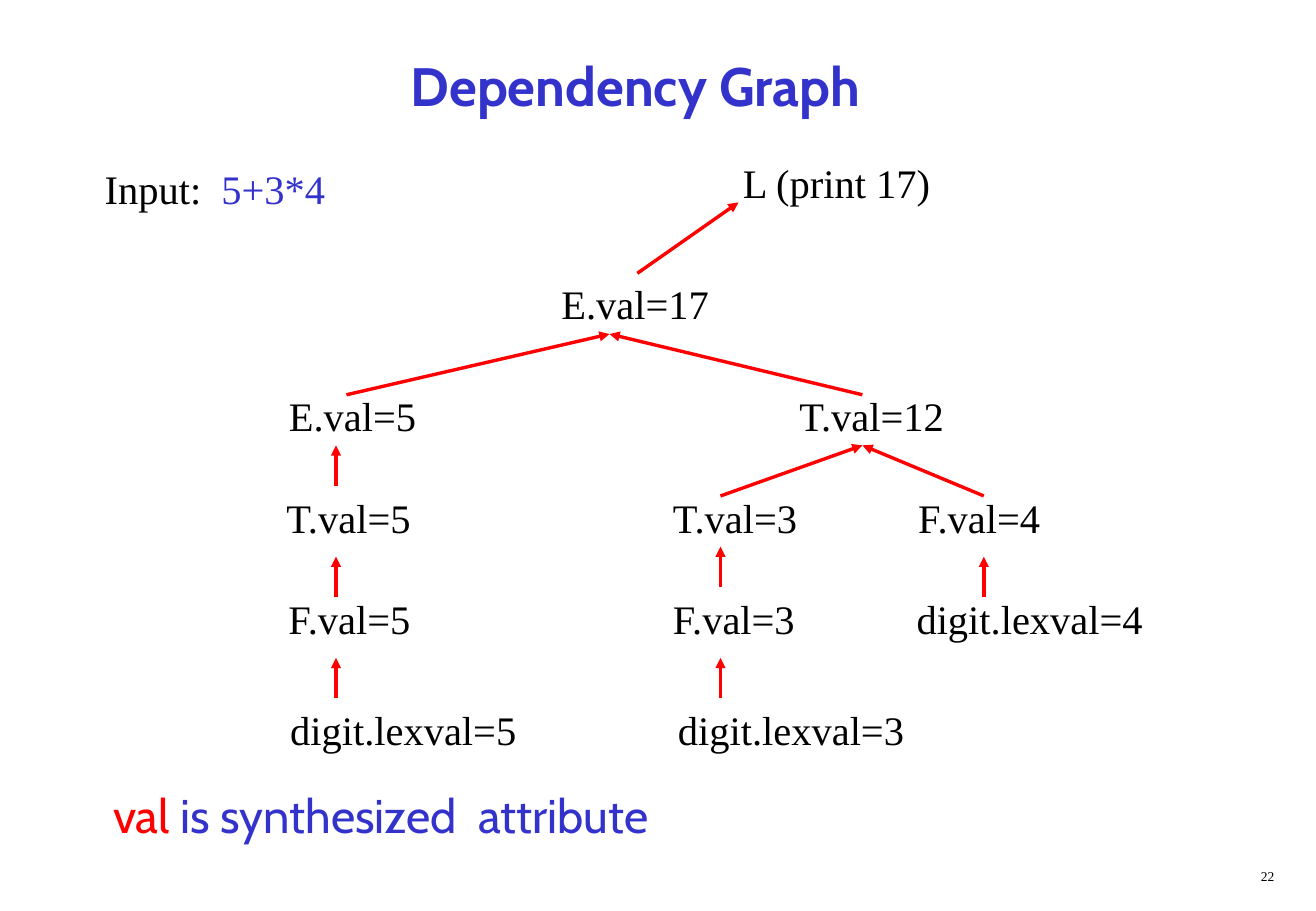
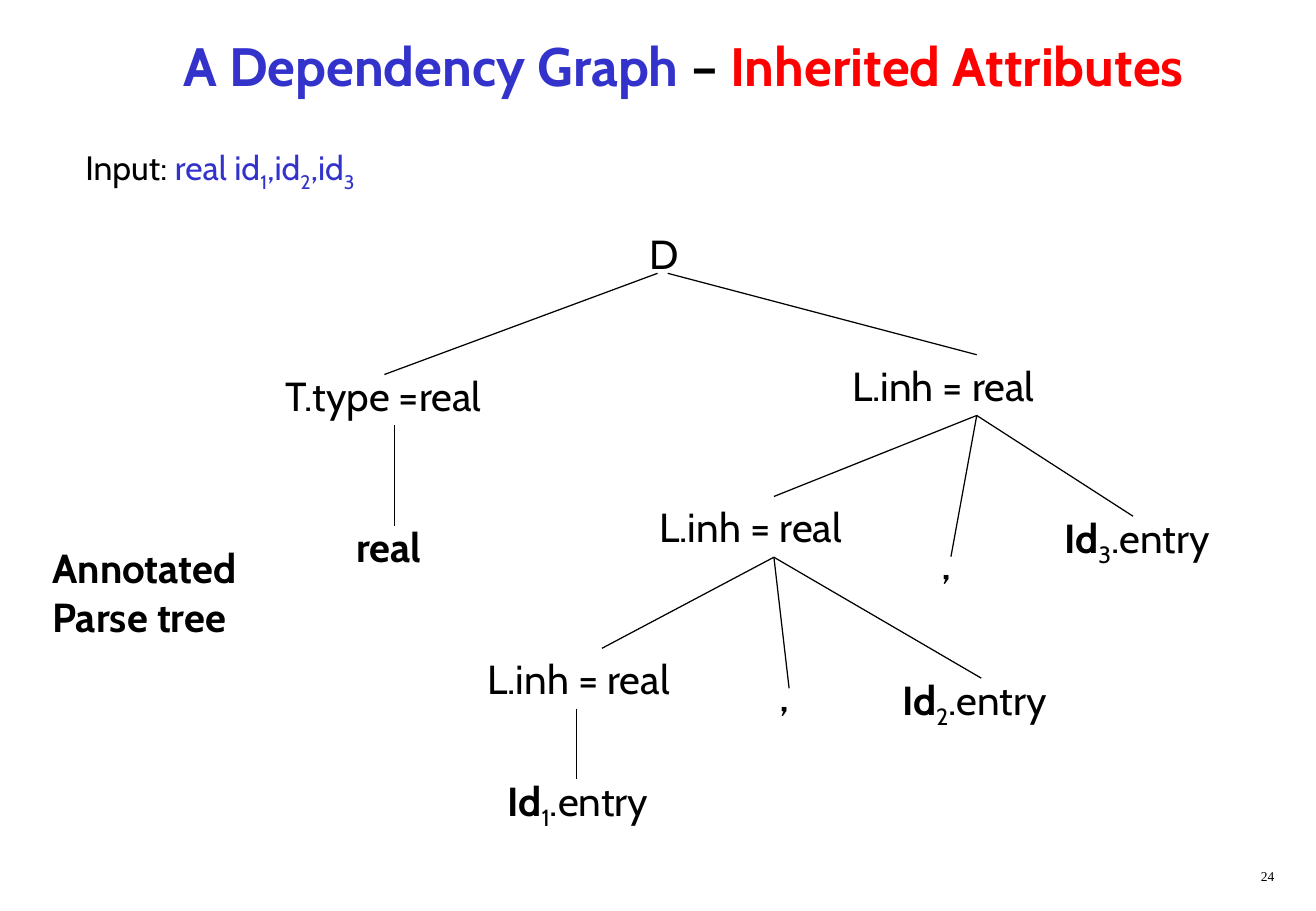
from lxml import etree
from pptx import Presentation
from pptx.dml.color import RGBColor
from pptx.enum.shapes import MSO_CONNECTOR
from pptx.enum.text import MSO_ANCHOR, MSO_AUTO_SIZE, PP_ALIGN
from pptx.oxml.ns import qn
from pptx.util import Pt

STRAIGHT = MSO_CONNECTOR.STRAIGHT
MIDDLE = MSO_ANCHOR.MIDDLE
NO_AUTOFIT = MSO_AUTO_SIZE.NONE
CENTER, RIGHT = PP_ALIGN.CENTER, PP_ALIGN.RIGHT

BLUE = RGBColor(0x33, 0x33, 0xCC)
RED = RGBColor(0xFF, 0x00, 0x00)
BLACK = RGBColor(0x00, 0x00, 0x00)
SANS = "Cabin"
SERIF = "Times New Roman"
TOP, BOTTOM = 0, 2
LABEL_HEIGHT = 36


def write(shape, runs, size, font, tab=None):
    """Fill a shape with (text, colour, style) runs; style is "", "bold" or "sub"."""
    frame = shape.text_frame
    frame.word_wrap = True
    frame.auto_size = NO_AUTOFIT
    paragraph = frame.paragraphs[0]
    if tab:
        tab_list = etree.SubElement(paragraph._p.get_or_add_pPr(), qn("a:tabLst"))
        etree.SubElement(tab_list, qn("a:tab"), pos=str(Pt(tab)), algn="l")
    for text, color, style in runs:
        run = paragraph.add_run()
        run.text = text
        run.font.size = Pt(size)
        run.font.name = font
        run.font.bold = style == "bold"
        run.font.color.rgb = color
        if style == "sub":
            run._r.get_or_add_rPr().set("baseline", "-25000")
    return paragraph


def add_line(slide, start, end, color, width, arrow=False):
    """Draw a line; each end is a point (x, y) or a label's (shape, side)."""
    points = [(0, 0) if hasattr(place[0], "text_frame") else place for place in (start, end)]
    line = slide.shapes.add_connector(STRAIGHT, *[Pt(value) for point in points for value in point])
    for place, connect in ((start, line.begin_connect), (end, line.end_connect)):
        if hasattr(place[0], "text_frame"):
            connect(*place)
    line.line.color.rgb = color
    line.line.width = Pt(width)
    if arrow:
        etree.SubElement(line.line._get_or_add_ln(), qn("a:tailEnd"), type="triangle")
    etree.SubElement(line._element.spPr, qn("a:effectLst"))


presentation = Presentation()
presentation.slide_width = Pt(780.48)
presentation.slide_height = Pt(540)

# Titles and slide numbers
slides = []
for number, width, height, title_runs in (
    ("22", 663, 64, [("Dependency Graph", BLUE, "bold")]),
    ("24", 720, 40, [("A Dependency Graph", BLUE, "bold"), (" – ", BLACK, "bold"),
                     ("Inherited Attributes", RED, "bold")]),
):
    slide = presentation.slides.add_slide(presentation.slide_layouts[5])
    title = slide.shapes.title
    title.left, title.top, title.width, title.height = Pt(45.5), Pt(18.5), Pt(width), Pt(height)
    title.text_frame.vertical_anchor = MIDDLE
    write(title, title_runs, 32, SANS).alignment = CENTER
    number_box = slide.shapes.add_textbox(Pt(600), Pt(511), Pt(163), Pt(18))
    write(number_box, [(number, BLACK, "")], 8, SERIF).alignment = RIGHT
    slides.append(slide)
synthesized, inherited = slides

# Synthesized attributes
input_box = synthesized.shapes.add_textbox(Pt(55), Pt(93.6), Pt(160), Pt(LABEL_HEIGHT))
write(input_box, [("Input:\t", BLACK, ""), ("5+3*4", BLUE, "")], 24, SERIF, tab=69.2)
note = synthesized.shapes.add_textbox(Pt(60), Pt(462.5), Pt(612), Pt(41))
write(note, [("val", RED, ""), (" is synthesized\tattribute", BLUE, "")], 28, SANS, tab=216.8)

for text, left, top, width in (
    ("L (print 17)", 433.5, 90, 137),
    ("E.val=17", 325.8, 162, 104),
    ("E.val=5", 164.2, 228.5, 104),
    ("T.val=12", 467, 228.5, 104),
    ("T.val=5", 162.7, 288.5, 104),
    ("T.val=3", 392, 288.5, 104),
    ("F.val=4", 537.5, 288.5, 104),
    ("F.val=5", 164, 348.5, 104),
    ("F.val=3", 392, 348.5, 104),
    ("digit.lexval=4", 536.5, 348.5, 152),
    ("digit.lexval=5", 165, 414.5, 152),
    ("digit.lexval=3", 395, 414.5, 152),
):
    label = synthesized.shapes.add_textbox(Pt(left), Pt(top), Pt(width), Pt(LABEL_HEIGHT))
    write(label, [(text, BLACK, "")], 24, SERIF)

for start, end in (
    ((378, 162), (438, 120)),
    ((205.5, 234), (361.5, 198)),
    ((511.5, 234), (361.5, 198)),
    ((427.3, 294), (511.5, 264)),
    ((583.5, 294), (511.5, 264)),
):
    add_line(synthesized, start, end, RED, 2, arrow=True)
for x, y in ((199.3, 264), (199.3, 330), (199.3, 390), (427.3, 324), (427.3, 390), (583.5, 330)):
    add_line(synthesized, (x, y + 24), (x, y), RED, 2, arrow=True)

# Inherited attributes
input_box = inherited.shapes.add_textbox(Pt(43.5), Pt(83.5), Pt(227), Pt(34.5))
input_runs = [("Input: ", BLACK, ""), ("real ", BLUE, "")]
for index in (1, 2, 3):
    input_runs += [("id" if index == 1 else ",id", BLUE, ""), (str(index), BLUE, "sub")]
write(input_box, input_runs, 20, SANS)

nodes = {}
for name, text, style, left, top, width, height, size in (
    ("root", "D", "", 378, 132, 53, LABEL_HEIGHT, 24),
    ("type", "T.type =real", "", 162, 216.3, 168, LABEL_HEIGHT, 24),
    ("real", "real", "bold", 204.3, 306, 74, LABEL_HEIGHT, 24),
    ("caption", "Annotated Parse tree", "bold", 24, 318.4, 173.5, 65, 24),
    ("upper list", "L.inh = real", "", 498.3, 210.3, 162, LABEL_HEIGHT, 24),
    ("middle list", "L.inh = real", "", 384, 294.3, 150, LABEL_HEIGHT, 24),
    ("lower list", "L.inh = real", "", 282, 384.3, 150, LABEL_HEIGHT, 24),
    ("upper comma", ",", "", 551.5, 312, 40, 41, 28),
    ("middle comma", ",", "", 455.5, 390.4, 40, 41, 28),
):
    nodes[name] = inherited.shapes.add_textbox(Pt(left), Pt(top), Pt(width), Pt(height))
    write(nodes[name], [(text, BLACK, style)], size, SANS)

for index, left, top in (("3", 624.2, 300.4), ("2", 528, 396.4), ("1", 294, 456.4)):
    entry = inherited.shapes.add_textbox(Pt(left), Pt(top), Pt(132), Pt(40))
    write(entry, [("Id", BLACK, "bold"), (index, BLACK, "sub"), (".entry", BLACK, "")], 24, SANS)

upper, middle, lower = nodes["upper list"], nodes["middle list"], nodes["lower list"]
for start, end in (
    ((390, 162), (228, 222)),
    ((396, 162), (upper, TOP)),
    ((234, 252), (234, 312)),
    ((upper, BOTTOM), (middle, TOP)),
    ((upper, BOTTOM), (564, 330)),
    ((upper, BOTTOM), (672, 306)),
    ((middle, BOTTOM), (lower, TOP)),
    ((middle, BOTTOM), (468, 408)),
    ((middle, BOTTOM), (582, 402)),
    ((342, 420), (342, 462)),
):
    add_line(inherited, start, end, BLACK, 0.75)

presentation.save("out.pptx")
